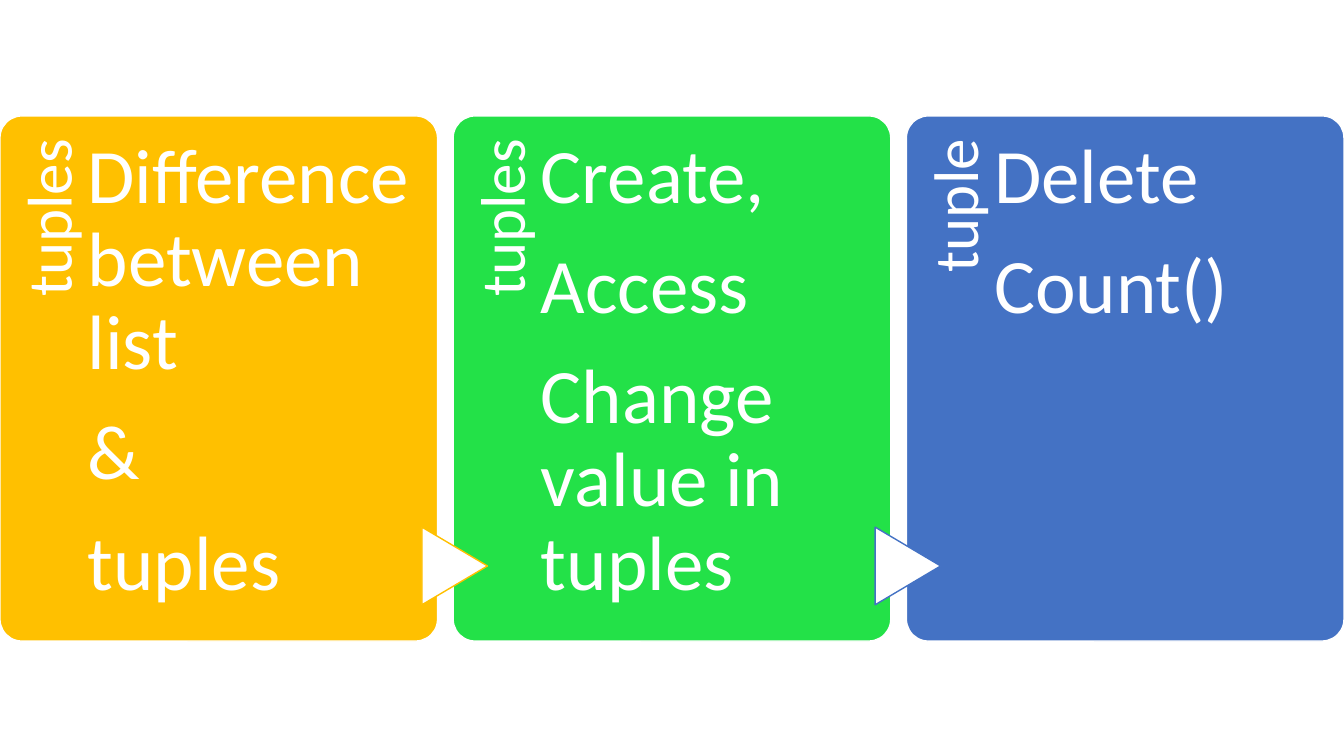
from pptx import Presentation
from pptx.dml.color import RGBColor
from pptx.enum.shapes import MSO_SHAPE
from pptx.enum.text import MSO_ANCHOR, PP_ALIGN
from pptx.util import Inches, Pt

ROUNDED = MSO_SHAPE.ROUNDED_RECTANGLE
TRIANGLE = MSO_SHAPE.FLOWCHART_EXTRACT
TOP = MSO_ANCHOR.TOP
LEFT, RIGHT = PP_ALIGN.LEFT, PP_ALIGN.RIGHT

COLORS = {"white": "FFFFFF", "amber": "FFC000", "green": "23E148", "blue": "4472C4"}
PANEL_TOP, PANEL_WIDTH, PANEL_HEIGHT = 1.15, 4.34, 5.21
PANEL_STEP = (13.33 - PANEL_WIDTH) / 2
PANELS = [
    ("amber", "tuples", ["Difference between list ", "& ", "tuples"]),
    ("green", "tuples", ["Create,", "Access", "Change value in tuples"]),
    ("blue", "tuple", ["Delete", "Count()"]),
]
ARROW_LINES = ["amber", "blue"]


def apply(target, values):
    for name, value in values.items():
        setattr(target, name, value)


class SlideBuilder:
    font = "Calibri"

    def __init__(self, page):
        self.page = page

    def color(self, name):
        return RGBColor.from_string(COLORS[name])

    def shape(self, kind, bounds, fill, line, rotation=0):
        shape = self.page.shapes.add_shape(kind, *map(Inches, bounds))
        shape.shadow.inherit = False
        shape.rotation = rotation
        shape.fill.solid()
        shape.fill.fore_color.rgb = self.color(fill)
        shape.line.color.rgb = self.color(line)
        shape.line.width = Pt(1)
        return shape

    def text(self, bounds, lines, size, align=LEFT, top=0, right=0, rotation=0):
        box = self.page.shapes.add_textbox(*map(Inches, bounds))
        box.rotation = rotation
        frame = box.text_frame
        apply(frame, {
            "word_wrap": True, "vertical_anchor": TOP,
            "margin_left": 0, "margin_top": Inches(top),
            "margin_right": Inches(right), "margin_bottom": 0,
        })
        for index, line in enumerate(lines):
            para = frame.add_paragraph() if index else frame.paragraphs[0]
            apply(para, {
                "alignment": align, "line_spacing": 0.9,
                "space_after": Pt(size * 0.35),
            })
            span = para.add_run()
            span.text = line
            apply(span.font, {"name": self.font, "size": Pt(size)})
            span.font.color.rgb = self.color("white")

    def panel(self, left, fill, label, lines):
        card = self.shape(ROUNDED, (left, PANEL_TOP, PANEL_WIDTH, PANEL_HEIGHT),
                          fill, "white")
        card.adjustments[0] = 0.05
        self.text((left - 1.7, 2.86, 4.27, 0.87), [label], 45,
                  align=RIGHT, top=0.17, right=0.22, rotation=270)
        self.text((left + 0.87, PANEL_TOP, 3.24, PANEL_HEIGHT), lines, 55, top=0.21)

    def arrow(self, panel_left, line):
        self.shape(TRIANGLE, (panel_left - 0.37, 5.29, 0.77, 0.65),
                   "white", line, rotation=90)


deck = Presentation()
deck.slide_width, deck.slide_height = Inches(13.33), Inches(7.5)
builder = SlideBuilder(deck.slides.add_slide(deck.slide_layouts[6]))
for number, (fill, label, lines) in enumerate(PANELS):
    builder.panel(number * PANEL_STEP, fill, label, lines)
for number, line in enumerate(ARROW_LINES, start=1):
    builder.arrow(number * PANEL_STEP, line)
deck.save("out.pptx")
